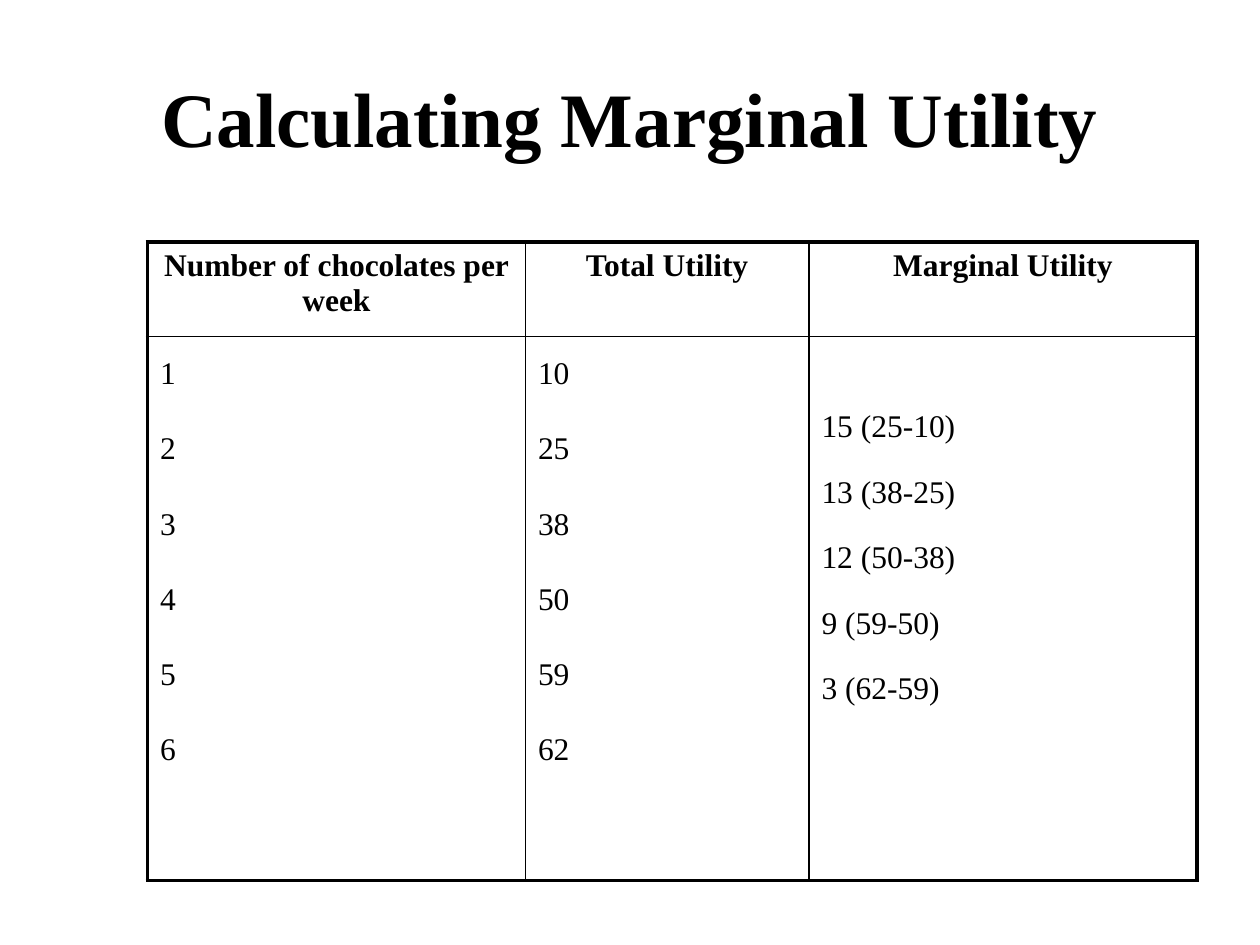
"""Build a slide with a table that derives marginal utility from total utility."""
import pptx
import pptx.dml.color
import pptx.enum.text
import pptx.oxml
import pptx.oxml.ns
import pptx.util

BLACK = pptx.dml.color.RGBColor(0x00, 0x00, 0x00)
ALIGN = pptx.enum.text.PP_ALIGN
ANCHOR = pptx.enum.text.MSO_ANCHOR
OUTER, INNER = 2.25, 1


def write(frame, lines, size=18, bold=False, align=ALIGN.LEFT, spacing=1.0, before=0, after=0):
    """Write one paragraph per line in a shared format."""
    frame.word_wrap = True
    for index, line in enumerate(lines):
        paragraph = frame.paragraphs[0] if index == 0 else frame.add_paragraph()
        paragraph.alignment = align
        paragraph.line_spacing = spacing
        paragraph.space_before = pptx.util.Pt(before if index else 0)
        paragraph.space_after = pptx.util.Pt(after)
        run = paragraph.add_run()
        run.text = line
        run.font.name = "Times New Roman"
        run.font.size = pptx.util.Pt(size)
        run.font.bold = bold
        run.font.color.rgb = BLACK


def draw_borders(cell, widths):
    """Give a cell its left, right, top and bottom lines."""
    properties = cell._tc.get_or_add_tcPr()
    for position, (side, width) in enumerate(zip("LRTB", widths)):
        line = pptx.oxml.parse_xml(
            f'<a:ln{side} {pptx.oxml.ns.nsdecls("a")} w="{pptx.util.Pt(width)}">'
            f'<a:solidFill><a:srgbClr val="{BLACK}"/></a:solidFill></a:ln{side}>'
        )
        properties.insert(position, line)


deck = pptx.Presentation()
deck.slide_width = pptx.util.Inches(10)
deck.slide_height = pptx.util.Inches(7.5)
W, H = deck.slide_width, deck.slide_height
slide = deck.slides.add_slide(deck.slide_layouts[5])

heading = slide.shapes.title
heading.left, heading.top = int(W * 0.05), int(H * 0.04)
heading.width, heading.height = int(W * 0.9), int(H / 6)
heading.text_frame.vertical_anchor = ANCHOR.MIDDLE
write(heading.text_frame, ["Calculating Marginal Utility"], size=44, bold=True, align=ALIGN.CENTER)

totals = [10, 25, 38, 50, 59, 62]
quantities = [str(number) for number in range(1, len(totals) + 1)]
marginals = [f"{new - old} ({new}-{old})" for old, new in zip(totals, totals[1:])]
headers = ["Number of chocolates per week", "Total Utility", "Marginal Utility"]
columns = [quantities, [str(total) for total in totals], marginals]
column_shares = [0.3, 0.225, 0.308]
row_shares = [0.1, 0.576]

utility = slide.shapes.add_table(
    len(row_shares), len(column_shares), int(W * 0.117), int(H * 0.256),
    int(W * sum(column_shares)), int(H * sum(row_shares)),
).table
utility.horz_banding = False
utility.first_row = False
for row, share in zip(utility.rows, row_shares):
    row.height = int(H * share)

for index, (header, values, share) in enumerate(zip(headers, columns, column_shares)):
    utility.columns[index].width = int(W * share)
    left = INNER if index else OUTER
    right = OUTER if index == len(headers) - 1 else INNER
    top_cell, body_cell = utility.cell(0, index), utility.cell(1, index)
    for cell, top, bottom in ((top_cell, OUTER, INNER), (body_cell, INNER, OUTER)):
        cell.fill.background()
        cell.vertical_anchor = ANCHOR.TOP
        draw_borders(cell, (left, right, top, bottom))
    write(top_cell.text_frame, [header], bold=True, align=ALIGN.CENTER)
    if values is marginals:
        body_cell.margin_top = pptx.util.Inches(0.5)
        write(body_cell.text_frame, values, spacing=1.3, before=6.5, after=5)
    else:
        write(body_cell.text_frame, values, spacing=1.4, before=8.4, after=6.7)

deck.save("out.pptx")
